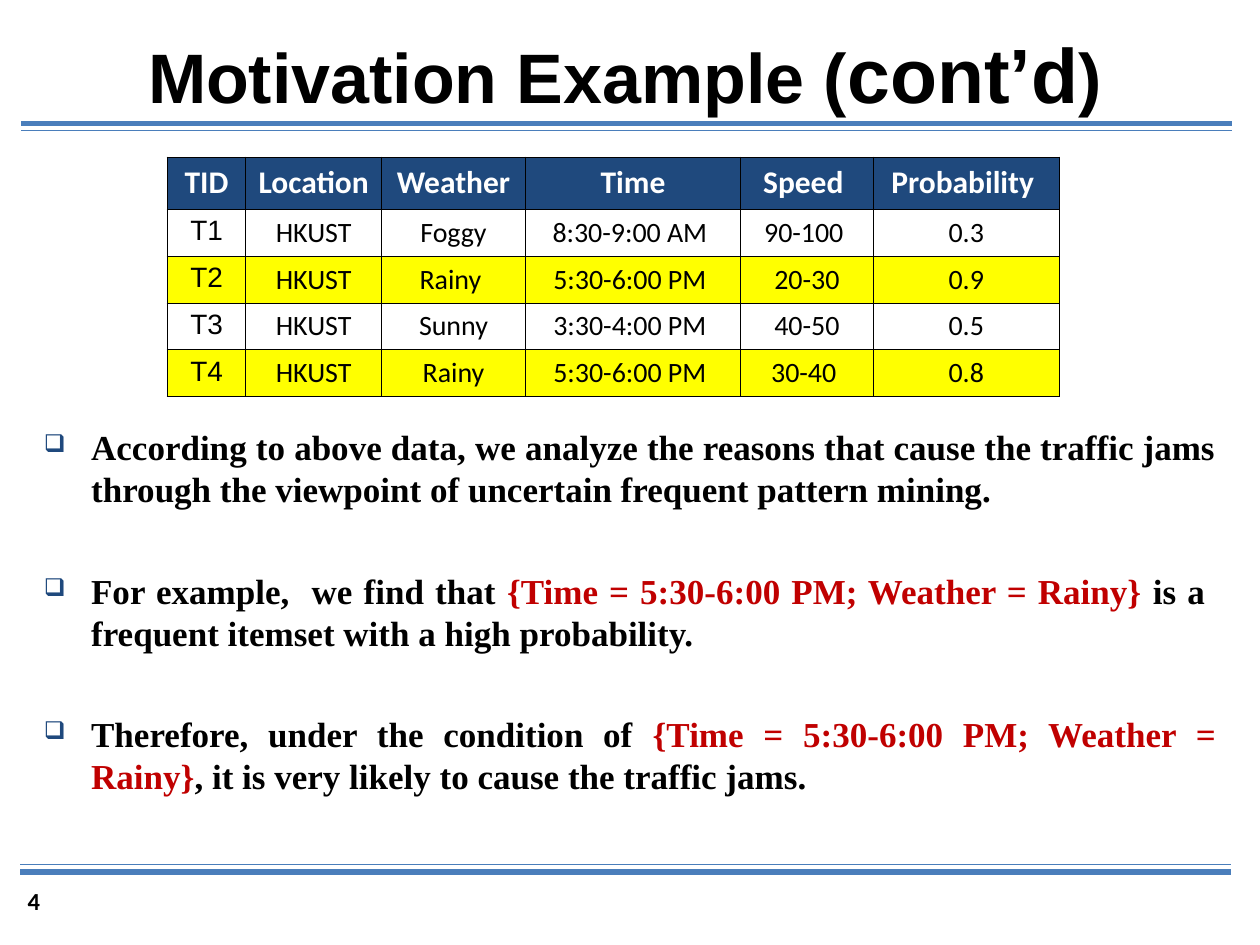
from lxml.etree import SubElement
from pptx import Presentation
from pptx.dml.color import RGBColor as RGB
from pptx.enum.shapes import MSO_CONNECTOR as CONN
from pptx.enum.text import MSO_ANCHOR as ANCHOR, PP_ALIGN as ALIGN
from pptx.oxml.ns import qn
from pptx.util import Inches, Pt

# The slide is a grid of 100 columns by 75 rows of square units
SLIDE_W, SLIDE_H = Inches(10), Inches(7.5)
UNIT = SLIDE_W / 100

COLORS = {
    "ink": "000000", "paper": "FFFFFF", "rule": "4A7EBB",
    "navy": "1F497D", "mark": "FFFF00", "red": "C00000",
}

HEADER = ["TID", "Location ", "Weather", "Time", "Speed ", "Probability "]
RECORDS = [
    ["T1", "HKUST", "Foggy", "8:30-9:00 AM ", "90-100 ", "0.3"],
    ["T2", "HKUST", "Rainy ", "5:30-6:00 PM ", "20-30", "0.9"],
    ["T3", "HKUST", "Sunny", "3:30-4:00 PM ", "40-50", "0.5"],
    ["T4", "HKUST", "Rainy", "5:30-6:00 PM ", "30-40 ", "0.8"],
]
COL_WIDTHS = [6.2, 10.8, 11.4, 17.1, 10.5, 14.8]
HEADER_ROW, RECORD_ROW = 4.1, 3.7

ITEMSET = ("{Time = 5:30-6:00 PM; Weather = Rainy}", "red")
POINTS = [
    [("According to above data, we analyze the reasons that cause the traffic "
      "jams through the viewpoint of uncertain frequent pattern mining.", "ink")],
    [("For example,  we find that ", "ink"), ITEMSET,
     (" is a  frequent itemset with a high probability.", "ink")],
    [("Therefore, under the condition of ", "ink"), ITEMSET,
     (", it is very likely to cause the traffic jams. ", "ink")],
]


def grid(*units):
    return [round(u * UNIT) for u in units]


def color(name):
    return RGB.from_string(COLORS[name])


def add_text(p, text, size=16, font="Calibri", fill="ink", bold=False):
    r = p.add_run()
    r.text = text
    r.font.size, r.font.name, r.font.bold = Pt(size), font, bold
    r.font.color.rgb = color(fill)


def add_bullet(p, char="❑", size=70, indent=3.75):
    margin = grid(indent)[0]
    pPr = p._p.get_or_add_pPr()
    pPr.set("marL", str(margin))
    pPr.set("indent", str(-margin))
    SubElement(SubElement(pPr, qn("a:buClr")), qn("a:srgbClr"), val=COLORS["navy"])
    SubElement(pPr, qn("a:buSzPct"), val=str(size * 1000))
    SubElement(pPr, qn("a:buChar"), char=char)


def add_borders(cell, widths):
    tcPr = cell._tc.get_or_add_tcPr()
    for side, width in zip("LRTB", widths):
        ln = SubElement(tcPr, qn(f"a:ln{side}"), w=str(Pt(width)))
        SubElement(SubElement(ln, qn("a:solidFill")), qn("a:srgbClr"), val=COLORS["ink"])


def add_frame(s, box):
    tf = s.shapes.add_textbox(*grid(*box)).text_frame
    tf.word_wrap = True
    return tf


def add_rules(s, box, weights):
    """Draw one rule along the top of the box and one along the bottom."""
    x, y, w, h = box
    for rule_y, weight in zip((y, y + h), weights):
        line = s.shapes.add_connector(CONN.STRAIGHT, *grid(x, rule_y, x + w, rule_y))
        line.line.color.rgb = color("rule")
        line.line.width = Pt(weight)
        SubElement(line._element.spPr, qn("a:effectLst"))


def add_title(s, box):
    sp = s.shapes.title
    sp.left, sp.top, sp.width, sp.height = grid(*box)
    tf = sp.text_frame
    tf.vertical_anchor = ANCHOR.MIDDLE
    p = tf.paragraphs[0]
    p.alignment = ALIGN.CENTER
    for text, size in (("Motivation Example (", 40), ("cont’d", 44), (")", 40)):
        add_text(p, text, size=size, font="Arial", bold=True)


def add_records(s, box):
    rows = [HEADER] + RECORDS
    last_row, last_col = len(rows) - 1, len(HEADER) - 1
    table = s.shapes.add_table(len(rows), len(HEADER), *grid(*box)).table
    table.first_row = table.horz_banding = False
    for column, width in zip(table.columns, grid(*COL_WIDTHS)):
        column.width = width
    for i, row in enumerate(rows):
        table.rows[i].height = grid(RECORD_ROW if i else HEADER_ROW)[0]
        for j, text in enumerate(row):
            cell = table.cell(i, j)
            outer = (j == 0, j == last_col, i == 0, i == last_row)
            add_borders(cell, [1.08 if edge else 0.45 for edge in outer])
            if i and "Rainy" not in row[2]:
                cell.fill.background()
            else:
                cell.fill.solid()
                cell.fill.fore_color.rgb = color("mark" if i else "navy")
            p = cell.text_frame.paragraphs[0]
            p.alignment = ALIGN.CENTER
            if i:
                add_text(p, text, font="Calibri" if j else "Arial")
            else:
                add_text(p, text, size=18, fill="paper", bold=True)


def add_points(s, box):
    tf = add_frame(s, box)
    for i, parts in enumerate(POINTS):
        p = tf.add_paragraph() if i else tf.paragraphs[0]
        p.alignment = ALIGN.JUSTIFY
        p.line_spacing = Pt(24)
        p.space_before = Pt(34 if i else 0)
        add_bullet(p)
        for text, fill in parts:
            add_text(p, text, size=20, font="Times New Roman", fill=fill, bold=True)


def add_page_number(s, box):
    add_text(add_frame(s, box).paragraphs[0], "4", size=14, bold=True)


def main():
    prs = Presentation()
    prs.slide_width, prs.slide_height = SLIDE_W, SLIDE_H
    s = prs.slides.add_slide(prs.slide_layouts[5])
    # Rules under the title and above the footer
    add_rules(s, (1.7, 9.8, 96.1, 0.55), (3, 0.75))
    add_rules(s, (1.6, 68.6, 96.1, 0.6), (0.75, 3))
    # Content
    add_title(s, (8.3, 1.8, 82.6, 7.9))
    add_records(s, (13.3, 12.5, sum(COL_WIDTHS), HEADER_ROW + RECORD_ROW * len(RECORDS)))
    add_points(s, (2.5, 33.3, 95, 34.2))
    add_page_number(s, (1.2, 69.8, 10.2, 4))
    prs.save("out.pptx")


if __name__ == "__main__":
    main()
